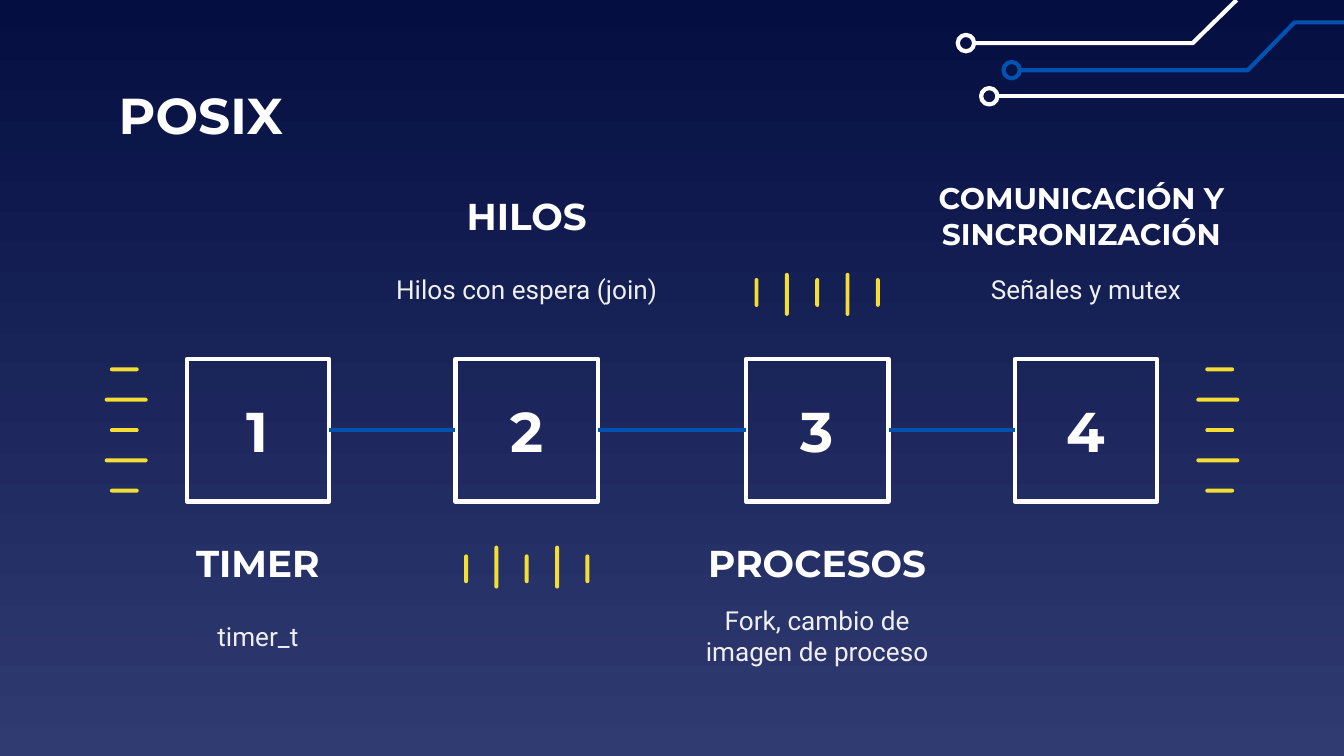
from pptx import Presentation
from pptx.dml.color import RGBColor
from pptx.enum.shapes import MSO_CONNECTOR as Connector, MSO_SHAPE as Shape
from pptx.enum.text import MSO_ANCHOR as Anchor, MSO_AUTO_SIZE as AutoSize, PP_ALIGN as Align
from pptx.oxml.ns import qn
from pptx.util import Pt
from lxml.etree import SubElement

WHITE, BLUE, YELLOW, PALE = "FFFFFF", "0152B1", "F5DE34", "EFEFEF"
LINE_WIDTH = 2.25

TITLE = "POSIX"
# Number, heading, description, box left, heading size, heading width, heading shift, above the box
STEPS = [
    ("1", "TIMER", "timer_t", 100, 20, 158, 0, False),
    ("2", "HILOS", "Hilos con espera (join)", 244, 20, 158, 0, True),
    ("3", "PROCESOS", "Fork, cambio de imagen de proceso", 399.6, 20, 158, 0, False),
    ("4", "COMUNICACIÓN Y SINCRONIZACIÓN", "Señales y mutex", 543.6, 16, 176.4, -2.5, True),
]
BOX_TOP, BOX_SIZE = 192.3, 76.4
TEXT_WIDTH, HEADING_HEIGHT, DETAIL_HEIGHT = 158, 34, 44
ABOVE_TOP, BELOW_TOP = 98.6, 284.6

# Circuit traces: colour, circle centre, then the corners of the trace
CIRCLE_RADIUS = 4.4
TRACES = [
    (WHITE, (517.5, 23.1), [(639, 23.1), (662.5, 0)]),
    (BLUE, (542, 37.6), [(668.5, 37.6), (693.5, 12), (720, 12)]),
    (WHITE, (530, 51.6), [(720, 51.6)]),
]

# Tick rows: centre of the row, whether it runs across, shift of the short ticks
TICK_ROWS = [
    ((67.6, 230.4), False, -1),
    ((282.2, 303.8), True, 0.9),
    ((437.8, 157.7), True, -1),
    ((652.4, 230.4), False, 1),
]
TICK_LENGTHS = [15.4, 23, 15.4, 23, 15.4]
TICK_PITCH, TICK_WIDTH = 16.25, 2.1


def color(value):
    return RGBColor.from_string(value)


def points(*values):
    return [Pt(value) for value in values]


def set_line(shape, value):
    shape.line.color.rgb = color(value)
    shape.line.width = Pt(LINE_WIDTH)


def write(shape, text, size, font="Montserrat", fill=WHITE, bold=True, align=Align.CENTER):
    frame = shape.text_frame
    frame_format = {"word_wrap": True, "auto_size": AutoSize.NONE, "vertical_anchor": Anchor.MIDDLE}
    frame_format.update({f"margin_{side}": Pt(7.2) for side in ("left", "right", "top", "bottom")})
    for name, value in frame_format.items():
        setattr(frame, name, value)
    para = frame.paragraphs[0]
    para.alignment = align
    span = para.add_run()
    span.text = text
    for name, value in {"name": font, "size": Pt(size), "bold": bold}.items():
        setattr(span.font, name, value)
    span.font.color.rgb = color(fill)


def add_shape(kind, left, top, width, height, fill=None, line=None):
    shape = slide.shapes.add_shape(kind, *points(left, top, width, height))
    shape.shadow.inherit = False
    if fill:
        shape.fill.solid()
        shape.fill.fore_color.rgb = color(fill)
    else:
        shape.fill.background()
    if line:
        set_line(shape, line)
    else:
        shape.line.fill.background()
    return shape


def add_line(start, end, value):
    line = slide.shapes.add_connector(Connector.STRAIGHT, *points(*start, *end))
    set_line(line, value)
    SubElement(line._element.spPr, qn("a:effectLst"))
    return line


def add_trace(value, center, corners):
    x, y = center
    start = (x + CIRCLE_RADIUS, y)
    if len(corners) == 1:
        add_line(start, corners[0], value)
    else:
        builder = slide.shapes.build_freeform(*points(*start))
        builder.add_line_segments([points(*corner) for corner in corners], close=False)
        trace = builder.convert_to_shape()
        trace.shadow.inherit = False
        trace.fill.background()
        set_line(trace, value)
    add_shape(Shape.OVAL, x - CIRCLE_RADIUS, y - CIRCLE_RADIUS,
              2 * CIRCLE_RADIUS, 2 * CIRCLE_RADIUS, line=value)


def add_ticks(center, across, short_shift):
    for index, length in enumerate(TICK_LENGTHS):
        along = (index - 2) * TICK_PITCH
        shift = 0 if length == max(TICK_LENGTHS) else short_shift
        dx, dy = (along, shift) if across else (shift, along)
        width, height = (TICK_WIDTH, length) if across else (length, TICK_WIDTH)
        tick = add_shape(Shape.ROUNDED_RECTANGLE, center[0] + dx - width / 2,
                         center[1] + dy - height / 2, width, height, fill=YELLOW)
        tick.adjustments[0] = 0.5


def add_label(center, top, width, height, text, size, **style):
    label = slide.shapes.add_textbox(*points(center - width / 2, top, width, height))
    write(label, text, size, **style)


def add_step(number, heading, detail, left, size, width, shift, above):
    box = add_shape(Shape.RECTANGLE, left, BOX_TOP, BOX_SIZE, BOX_SIZE, line=WHITE)
    write(box, number, 30)
    center = left + BOX_SIZE / 2
    top = ABOVE_TOP if above else BELOW_TOP
    add_label(center + shift, top, width, HEADING_HEIGHT, heading, size)
    add_label(center, top + HEADING_HEIGHT, TEXT_WIDTH, DETAIL_HEIGHT, detail, 14,
              font="Roboto", fill=PALE, bold=False)
    return box


deck = Presentation()
deck.slide_width, deck.slide_height = points(720, 405)
slide = deck.slides.add_slide(deck.slide_layouts[5])

background = slide.background.fill
background.gradient()
background.gradient_angle = 270
for stop, value in zip(background.gradient_stops, ("040E41", "303B72")):
    stop.color.rgb = color(value)

title = slide.shapes.title
title.left, title.top, title.width, title.height = points(56.4, 42.6, 277, 37.4)
write(title, TITLE, 27, align=Align.LEFT)

for trace in TRACES:
    add_trace(*trace)
for row in TICK_ROWS:
    add_ticks(*row)
boxes = [add_step(*step) for step in STEPS]
for first, second in zip(boxes, boxes[1:]):
    link = add_line((0, 0), (0, 0), BLUE)
    link.begin_connect(first, 3)
    link.end_connect(second, 1)

deck.save("out.pptx")
